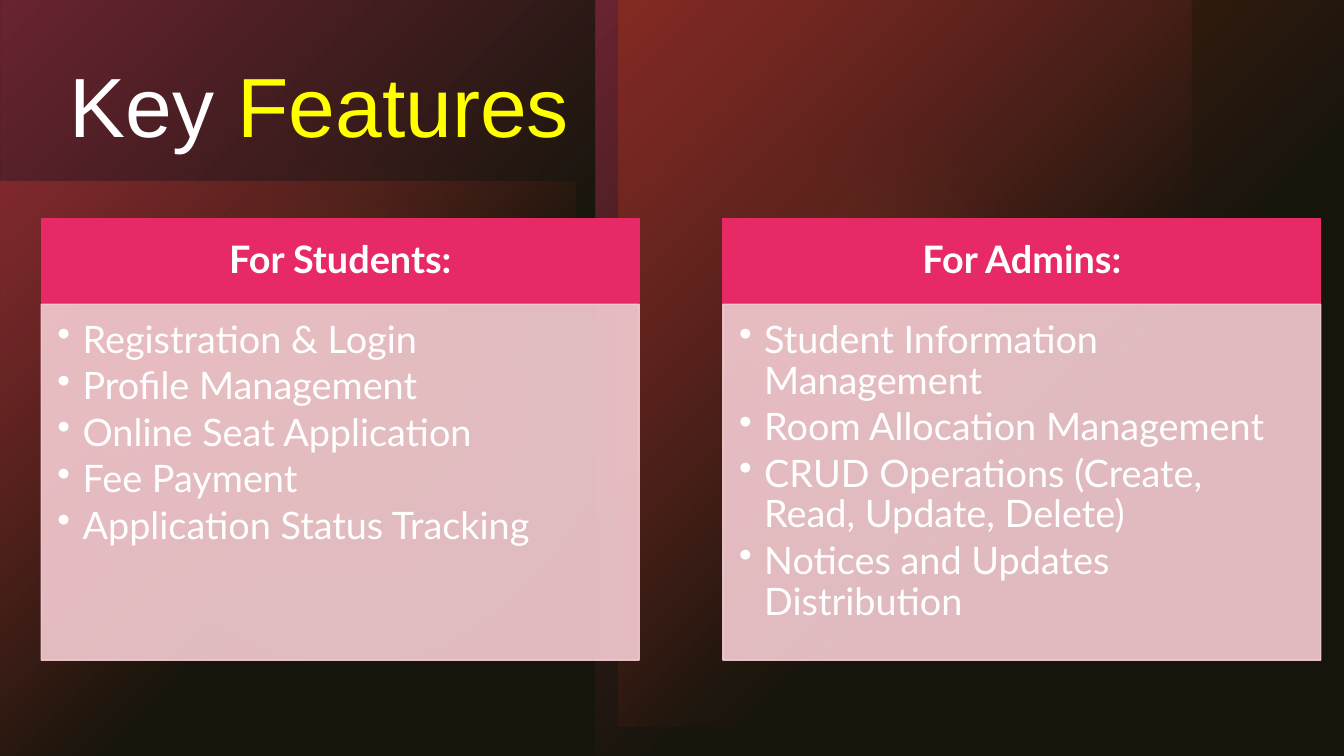
from dataclasses import dataclass

import lxml.etree
import pptx
import pptx.dml.color
import pptx.enum.shapes
import pptx.enum.text
import pptx.oxml
import pptx.oxml.ns
import pptx.util

Inches = pptx.util.Inches
Pt = pptx.util.Pt
RGBColor = pptx.dml.color.RGBColor
Shapes = pptx.enum.shapes.MSO_SHAPE
Align = pptx.enum.text.PP_ALIGN
Anchor = pptx.enum.text.MSO_ANCHOR
qn = pptx.oxml.ns.qn

BLACK = RGBColor(0x00, 0x00, 0x00)
WHITE = RGBColor(0xFF, 0xFF, 0xFF)
YELLOW = RGBColor(0xFF, 0xFF, 0x00)
PINK = RGBColor(0xE7, 0x29, 0x66)
PALE_PINK = RGBColor(0xF6, 0xCD, 0xD3)
RED = RGBColor(0xD5, 0x2A, 0x17)
ORANGE = RGBColor(0xE7, 0x8B, 0x29)
OLIVE = RGBColor(0x38, 0x36, 0x1F)

SLIDE_W, SLIDE_H = 13.33, 7.5
CARD_W, HEADING_H, LIST_H = 5.93, 0.85, 3.53
CARD_TOP = 2.17


@dataclass(frozen=True)
class Box:
    left: float
    top: float
    width: float
    height: float

    def lengths(self) -> list:
        return [Inches(v) for v in (self.left, self.top, self.width, self.height)]


@dataclass(frozen=True)
class Gradient:
    box: Box
    color: RGBColor
    opacity: int
    rotation: int = 0
    flips: str = "V"


@dataclass(frozen=True)
class Glow:
    box: Box
    opacity: int


@dataclass(frozen=True)
class Card:
    left: float
    heading: str
    features: tuple


GLOW_SOFTNESS = Pt(100)
LOWER_LEFT_RED = Gradient(Box(0, 1.8, 5.71, 5.71), RED, 60)
GLOWS = (
    Glow(Box(6.29, 0.43, 4.72, 4.72), 60),
    Glow(Box(0, 0.56, 6.94, 6.94), 20),
)
UPPER_GRADIENTS = (
    Gradient(Box(0, 0, 5.91, SLIDE_H), PINK, 60, 180),
    Gradient(Box(5.91, 0, 5.91, SLIDE_H), PINK, 60, 180, "HV"),
    Gradient(Box(6.13, 0, 7.21, 7.21), RED, 60, 180),
)
CARDS = (
    Card(0.41, "For Students:", (
        "Registration & Login",
        "Profile Management",
        "Online Seat Application",
        "Fee Payment",
        "Application Status Tracking",
    )),
    Card(7.17, "For Admins:", (
        "Student Information Management",
        "Room Allocation Management",
        "CRUD Operations (Create, Read, Update, Delete)",
        "Notices and Updates Distribution",
    )),
)


def set_opacity(fill_owner, opacity: int) -> None:
    color = fill_owner.find(".//" + qn("a:srgbClr"))
    lxml.etree.SubElement(color, qn("a:alpha"), val=str(opacity * 1000))


def add_block(slide, kind, box: Box, color: RGBColor, opacity: int = 100):
    block = slide.shapes.add_shape(kind, *box.lengths())
    block.shadow.inherit = False
    block.fill.solid()
    block.fill.fore_color.rgb = color
    block.line.fill.background()
    if opacity < 100:
        set_opacity(block.fill._xPr.find(qn("a:solidFill")), opacity)
    return block


def add_gradient(slide, gradient: Gradient) -> None:
    panel = add_block(slide, Shapes.RECTANGLE, gradient.box, gradient.color)
    panel.rotation = gradient.rotation
    properties = panel._element.spPr
    for axis in gradient.flips:
        properties.find(qn("a:xfrm")).set("flip" + axis, "1")
    stops = "".join(
        f'<a:gs pos="{pos * 1000}"><a:srgbClr val="{gradient.color}">'
        f'<a:alpha val="{opacity * 1000}"/></a:srgbClr></a:gs>'
        for pos, opacity in ((0, gradient.opacity), (60, 0))
    )
    fade = pptx.oxml.parse_xml(
        f'<a:gradFill {pptx.oxml.ns.nsdecls("a")} rotWithShape="1">'
        f'<a:gsLst>{stops}</a:gsLst><a:path path="circle">'
        '<a:fillToRect r="100000" b="100000"/></a:path></a:gradFill>'
    )
    properties.replace(properties.find(qn("a:solidFill")), fade)


def add_glow(slide, glow: Glow) -> None:
    circle = add_block(slide, Shapes.OVAL, glow.box, ORANGE, glow.opacity)
    effects = circle._element.spPr.find(qn("a:effectLst"))
    lxml.etree.SubElement(effects, qn("a:softEdge"), rad=str(int(GLOW_SOFTNESS)))


def add_run(paragraph, text: str, font: str, size: int, color: RGBColor, bold: bool = False) -> None:
    run = paragraph.add_run()
    run.text = text
    run.font.name = font
    run.font.size = Pt(size)
    run.font.color.rgb = color
    run.font.bold = bold


def set_insets(frame, left: float, top: float, right: float, bottom: float) -> None:
    frame.word_wrap = True
    frame.margin_left, frame.margin_top = Inches(left), Inches(top)
    frame.margin_right, frame.margin_bottom = Inches(right), Inches(bottom)


def add_bullet(paragraph) -> None:
    properties = paragraph._p.get_or_add_pPr()
    properties.set("marL", str(Inches(0.25)))
    properties.set("indent", str(Inches(-0.25)))
    lxml.etree.SubElement(properties, qn("a:buChar"), char="•")


def add_card(slide, card: Card) -> None:
    # Heading
    heading = add_block(slide, Shapes.RECTANGLE, Box(card.left, CARD_TOP, CARD_W, HEADING_H), PINK)
    heading.line.color.rgb = PINK
    heading.line.width = Pt(1)
    frame = heading.text_frame
    set_insets(frame, 0.21, 0.12, 0.21, 0.12)
    frame.vertical_anchor = Anchor.MIDDLE
    title = frame.paragraphs[0]
    title.alignment = Align.CENTER
    title.line_spacing = 0.9
    add_run(title, card.heading, "Lato", 27, WHITE, bold=True)

    # Feature list
    features = add_block(
        slide, Shapes.RECTANGLE, Box(card.left, CARD_TOP + HEADING_H, CARD_W, LIST_H), PALE_PINK, 90)
    features.line.color.rgb = PALE_PINK
    features.line.width = Pt(1)
    set_opacity(features.line._ln, 90)
    frame = features.text_frame
    set_insets(frame, 0.16, 0.16, 0.21, 0.24)
    frame.vertical_anchor = Anchor.TOP
    for index, feature in enumerate(card.features):
        item = frame.add_paragraph() if index else frame.paragraphs[0]
        item.alignment = Align.LEFT
        item.line_spacing = 0.9
        item.space_after = Pt(4)
        add_bullet(item)
        add_run(item, feature, "Lato", 27, WHITE)


def main() -> None:
    deck = pptx.Presentation()
    deck.slide_width, deck.slide_height = Inches(SLIDE_W), Inches(SLIDE_H)
    slide = deck.slides.add_slide(deck.slide_layouts[6])

    # Backdrop
    slide.background.fill.solid()
    slide.background.fill.fore_color.rgb = BLACK
    add_gradient(slide, LOWER_LEFT_RED)
    for glow in GLOWS:
        add_glow(slide, glow)
    for gradient in UPPER_GRADIENTS:
        add_gradient(slide, gradient)
    add_block(slide, Shapes.RECTANGLE, Box(0, 0, SLIDE_W, SLIDE_H), OLIVE, 40)

    # Slide title
    headline = slide.shapes.add_textbox(*Box(0.59, 0.59, 12.14, 1.98).lengths())
    headline.text_frame.word_wrap = True
    words = headline.text_frame.paragraphs[0]
    words.line_spacing = 0.9
    add_run(words, "Key ", "Arial", 60, WHITE)
    add_run(words, "Features", "Arial", 60, YELLOW)

    # Feature cards
    for card in CARDS:
        add_card(slide, card)

    deck.save("out.pptx")


if __name__ == "__main__":
    main()
